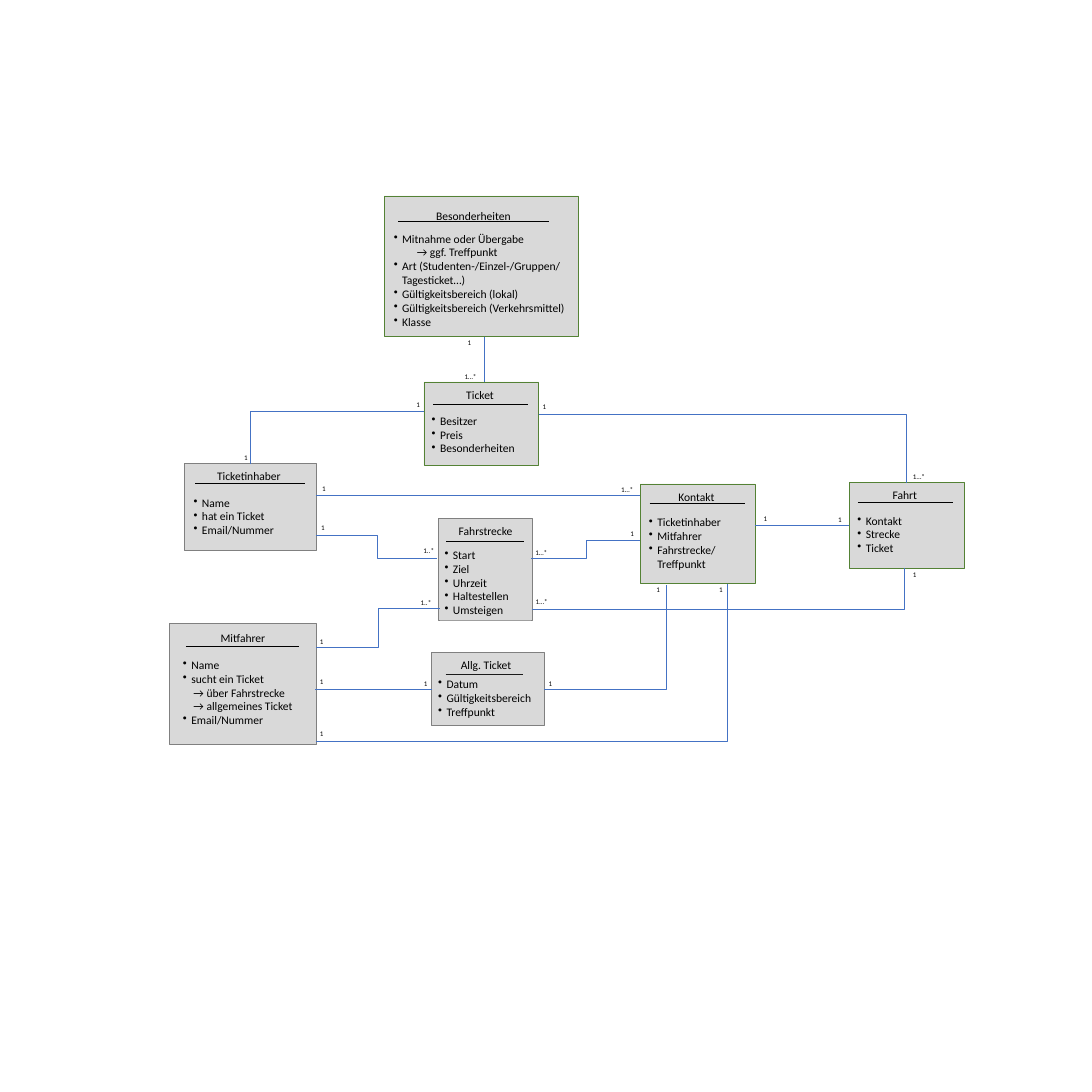
from dataclasses import dataclass

from lxml import etree
from pptx import Presentation
from pptx import util as u
from pptx.dml.color import RGBColor
from pptx.enum import shapes, text
from pptx.oxml import ns

COLOURS = {
    "box": "D9D9D9",
    "grey": "808080",
    "green": "548235",
    "link": "4472C4",
    "ink": "000000",
}
FONT = "Calibri"
SLIDE_SIDE = 1700.8
BULLET_INDENT = 13
LABEL_HEIGHT = 21
LABEL_WIDTHS = {"1": 24, "1..*": 34.6, "1…*": 46.8}

Point = tuple[float, float]
Rect = tuple[float, float, float, float]


@dataclass
class Entity:
    name: str
    border: str
    frame: Rect
    title: Rect
    rule: Rect
    body: Rect
    items: list[str]
    arrow_indent: float = 0


@dataclass
class Link:
    start: Point
    end: Point
    preset: str = "line"
    target: str = ""


ENTITIES = [
    Entity("Ticketinhaber", "grey", (287.3, 722.2, 205.2, 135.4), (306, 727.2, 163.4, 56.2),
           (303.8, 753.8, 474.5, 753.8), (294.5, 768.2, 187.9, 73.4),
           ["Name", "hat ein Ticket", "Email/Nummer"]),
    Entity("Fahrstrecke", "grey", (683.3, 807.8, 145.4, 158.4), (706.3, 812.9, 100.1, 72.7),
           (694.8, 843.8, 815.8, 843.8), (685.4, 849.6, 141.8, 116.6),
           ["Start", "Ziel", "Uhrzeit", "Haltestellen", "Umsteigen"]),
    Entity("Mitfahrer", "grey", (264.2, 971.3, 228.2, 188.6), (294.5, 978.5, 167.8, 33.1),
           (289.4, 1006.6, 465.1, 1006.6), (277.9, 1021, 209.5, 116.6),
           ["Name", "sucht ein Ticket", "→ über Fahrstrecke", "→ allgemeines Ticket",
            "Email/Nummer"], 16.3),
    Entity("Ticket", "green", (660.2, 594.7, 178.6, 130.3), (676.8, 601.2, 141.8, 32.4),
           (674.6, 630.7, 823, 630.7), (665.3, 640.8, 163.4, 72.7),
           ["Besitzer", "Preis", "Besonderheiten"]),
    Entity("Kontakt", "green", (997.2, 753.8, 178.6, 154.8), (1013.8, 759.6, 141.8, 22.3),
           (1011.6, 784.8, 1159.9, 784.8), (1003.7, 799.2, 163.4, 94.3),
           ["Ticketinhaber", "Mitfahrer", "Fahrstrecke/\nTreffpunkt"]),
    Entity("Fahrt", "green", (1322.6, 751.7, 178.6, 133.2), (1338.5, 756.7, 141.8, 28.8),
           (1336.3, 782.6, 1484.6, 782.6), (1328.4, 796.3, 163.4, 72.7),
           ["Kontakt", "Strecke", "Ticket"]),
    Entity("Besonderheiten", "green", (598.3, 305.3, 303.1, 218.2), (625, 321.8, 224.6, 33.1),
           (620.6, 345.6, 854.6, 345.6), (606.2, 357.1, 286.6, 159.8),
           ["Mitnahme oder Übergabe", "→ ggf. Treffpunkt",
            "Art (Studenten-/Einzel-/Gruppen/\nTagesticket…)", "Gültigkeitsbereich (lokal)",
            "Gültigkeitsbereich (Verkehrsmittel)", "Klasse"], 36),
    Entity("Allg. Ticket", "grey", (672.5, 1015.9, 175, 113.8), (702.7, 1021.7, 108.7, 26.6),
           (694.1, 1049.8, 815, 1049.8), (675.4, 1051.2, 164.9, 66.2),
           ["Datum", "Gültigkeitsbereich", "Treffpunkt"]),
]

LINKS = [
    Link((492.5, 771.1), (997.2, 771.1)),
    Link((1175.8, 818.3), (1322.6, 818.3), target="Fahrt"),
    Link((491, 1072.8), (672.5, 1072.8), target="Allg. Ticket"),
    Link((753.8, 524.2), (753.8, 594.7)),
    Link((660.2, 640.8), (390.2, 722.2), "bentConnector2"),
    Link((491.8, 1154.2), (1132.6, 909.4), "bentConnector2"),
    Link((838.8, 645.8), (1411.9, 751.7), "bentConnector2"),
    Link((828, 948.2), (1409, 884.2), "bentConnector2"),
    Link((847.4, 1072.8), (1038.2, 910.8), "bentConnector2"),
    Link((492.5, 833), (681.1, 869.8), "bentConnector3"),
    Link((492.5, 1008.7), (684.7, 946.8), "bentConnector3"),
    Link((827.3, 869), (997.2, 841), "bentConnector3"),
]

MULTIPLICITIES = {
    "1": [(1298.2, 798.5), (1182.2, 797), (1414.8, 885.6), (491, 990), (493.2, 812.2),
          (494.6, 750.2), (373, 703.4), (974.9, 820.8), (721.4, 524.2), (838.1, 623.5),
          (641.5, 619.9), (491, 1051.9), (847.4, 1054.8), (653, 1054.8), (1015.2, 908.6),
          (1113.1, 907.9), (491, 1133.3)],
    "1..*": [(652.3, 847.4), (648, 928.1)],
    "1…*": [(1414.8, 732.2), (827.3, 927.4), (826.6, 851), (960.5, 752.4), (716.4, 576.7)],
}


def colour(name: str) -> RGBColor:
    return RGBColor.from_string(COLOURS[name])


def points(values: tuple[float, ...]) -> list[u.Length]:
    return [u.Pt(value) for value in values]


def add_text(paragraph, content: str, size: float) -> None:
    for index, line in enumerate(content.split("\n")):
        if index:
            paragraph.add_line_break()
        run = paragraph.add_run()
        run.text = line
        run.font.name = FONT
        run.font.size = u.Pt(size)
        run.font.color.rgb = colour("ink")


def add_rectangle(parent, rect: Rect, border: str = ""):
    shape = parent.shapes.add_shape(shapes.MSO_SHAPE.RECTANGLE, *points(rect))
    shape.shadow.inherit = False
    shape.fill.solid()
    shape.fill.fore_color.rgb = colour("box")
    if border:
        shape.line.color.rgb = colour(border)
        shape.line.width = u.Pt(1)
    else:
        shape.line.fill.background()
    shape.text_frame.word_wrap = True
    shape.text_frame.vertical_anchor = text.MSO_ANCHOR.TOP
    return shape


def add_line(parent, ends: Rect, line_colour: str, width: float, preset: str = "line"):
    kind = shapes.MSO_CONNECTOR.STRAIGHT if preset == "line" else shapes.MSO_CONNECTOR.ELBOW
    connector = parent.shapes.add_connector(kind, *points(ends))
    connector.line.color.rgb = colour(line_colour)
    connector.line.width = u.Pt(width)
    properties = connector._element.spPr
    properties.find(ns.qn("a:prstGeom")).set("prst", preset)
    etree.SubElement(properties, ns.qn("a:effectLst"))
    return connector


def indent(paragraph, left: float, bullet: bool) -> None:
    properties = paragraph._p.get_or_add_pPr()
    properties.set("marL", str(u.Pt(left)))
    properties.set("indent", str(-u.Pt(left) if bullet else 0))
    if bullet:
        etree.SubElement(properties, ns.qn("a:buChar")).set("char", "•")


def add_entity(slide, entity: Entity):
    group = slide.shapes.add_group_shape()
    frame = add_rectangle(group, entity.frame, entity.border)
    heading = add_rectangle(group, entity.title).text_frame.paragraphs[0]
    heading.alignment = text.PP_ALIGN.CENTER
    add_text(heading, entity.name, 18)
    add_line(group, entity.rule, "ink", 1.5)
    body = add_rectangle(group, entity.body).text_frame
    for index, item in enumerate(entity.items):
        paragraph = body.add_paragraph() if index else body.paragraphs[0]
        paragraph.alignment = text.PP_ALIGN.LEFT
        bullet = not item.startswith("→")
        indent(paragraph, BULLET_INDENT if bullet else entity.arrow_indent, bullet)
        add_text(paragraph, item, 18)
    return frame


def add_multiplicity(slide, label: str, place: Point) -> None:
    box = slide.shapes.add_textbox(*points((*place, LABEL_WIDTHS[label], LABEL_HEIGHT)))
    box.text_frame.word_wrap = True
    add_text(box.text_frame.paragraphs[0], label, 11)


def main() -> None:
    presentation = Presentation()
    presentation.slide_width = presentation.slide_height = u.Pt(SLIDE_SIDE)
    slide = presentation.slides.add_slide(presentation.slide_layouts[6])
    frames = {entity.name: add_entity(slide, entity) for entity in ENTITIES}
    for link in LINKS:
        connector = add_line(slide, (*link.start, *link.end), "link", 0.5, link.preset)
        if link.target:
            connector.end_connect(frames[link.target], 1)
    for label, places in MULTIPLICITIES.items():
        for place in places:
            add_multiplicity(slide, label, place)
    presentation.save("out.pptx")


if __name__ == "__main__":
    main()
